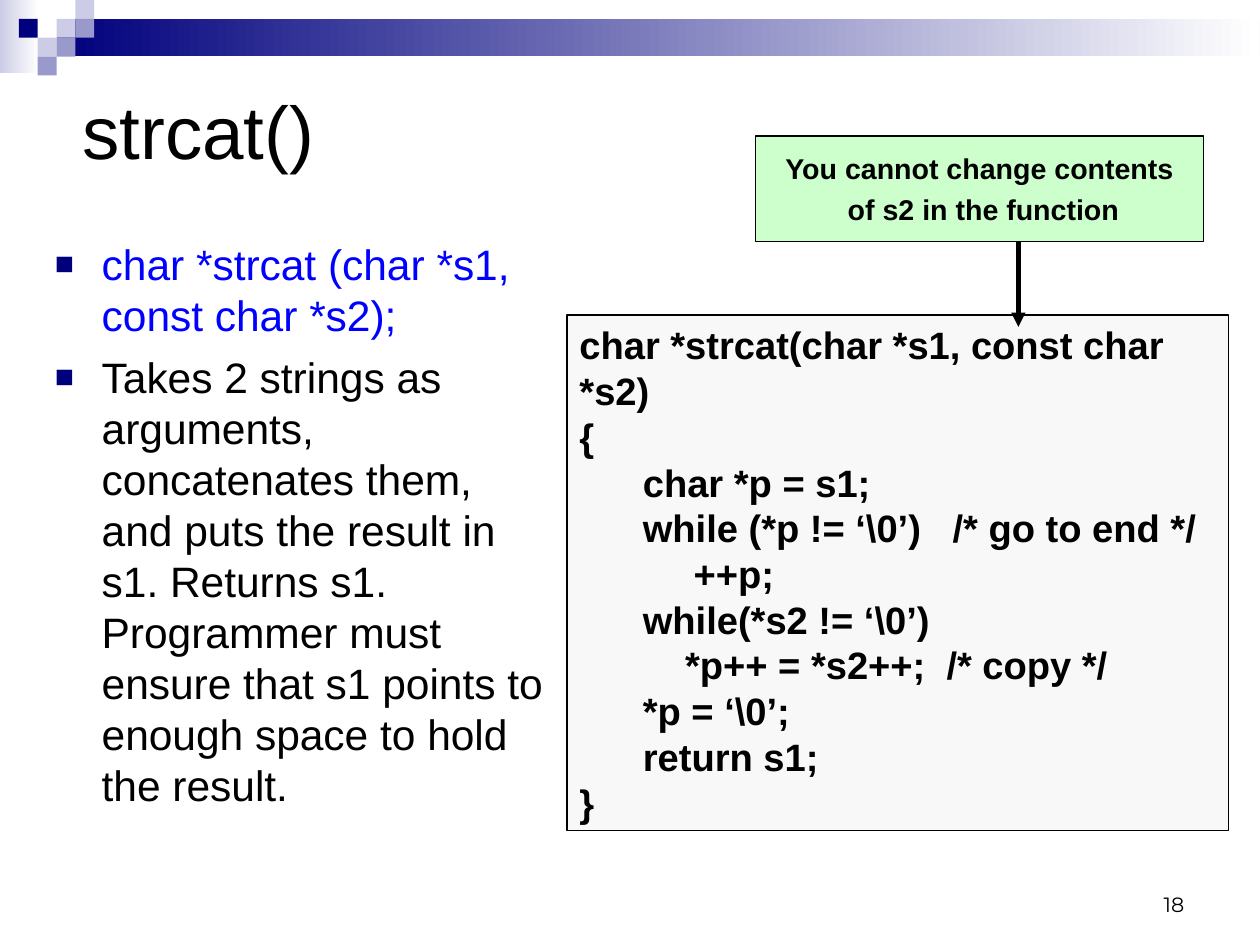
import pptx
import pptx.util
import pptx.dml.color
import pptx.enum.shapes
import pptx.enum.text
import pptx.oxml
import pptx.oxml.ns
from pptx.util import Inches

HUES = {
    "navy": "00007D", "mid": "9999CC", "pale": "CCCCE6", "white": "FFFFFF",
    "black": "000000", "blue": "0000FF", "grey": "F8F8F8", "green": "CCFFCC",
}
RECT = pptx.enum.shapes.MSO_SHAPE.RECTANGLE
ALIGN = pptx.enum.text.PP_ALIGN
ANCHOR = pptx.enum.text.MSO_ANCHOR
qn = pptx.oxml.ns.qn


def paint(target, hue):
    target.rgb = pptx.dml.color.RGBColor.from_string(HUES[hue])


def write(frame, lines, size, bold=False, align=ALIGN.LEFT,
          face="Arial", pads=(0.11, 0.06), gap=0, pitch=None):
    frame.margin_left = frame.margin_right = Inches(pads[0])
    frame.margin_top = frame.margin_bottom = Inches(pads[1])
    for i, line in enumerate(lines):
        para = frame.paragraphs[0] if i == 0 else frame.add_paragraph()
        para.text = line
        para.alignment = align
        para.space_before = pptx.util.Pt(gap if i else 0)
        if pitch:
            para.line_spacing = pptx.util.Pt(pitch)
        para.font.name = face
        para.font.size = pptx.util.Pt(size)
        para.font.bold = bold
        paint(para.font.color, "black")


deck = pptx.Presentation()
deck.slide_width = Inches(11.024)
deck.slide_height = Inches(8.268)
slide = deck.slides.add_slide(deck.slide_layouts[5])
shapes = slide.shapes

step = 0.165
bars = [(0, 0, 0.34, 0.64, "pale"), (0.5, step, 10.52, 2 * step, "navy")]
for left, top, width, height, hue in bars:
    bar = shapes.add_shape(RECT, Inches(left), Inches(top), Inches(width), Inches(height))
    bar.shadow.inherit = False
    bar.line.fill.background()
    bar.fill.gradient()
    bar.fill.gradient_angle = 0
    for stop, place, tone in zip(bar.fill.gradient_stops, (0, 1), (hue, "white")):
        stop.position = place
        paint(stop.color, tone)

tiles = [(3, 1, "pale"), (4, 0, "pale"), (4, 1, "mid"), (2, 2, "pale"),
         (1, 1, "navy"), (3, 2, "mid"), (2, 3, "mid")]
for col, row, hue in tiles:
    tile = shapes.add_shape(RECT, Inches(col * step), Inches(row * step),
                            Inches(step), Inches(step))
    tile.shadow.inherit = False
    tile.line.fill.background()
    tile.fill.solid()
    paint(tile.fill.fore_color, hue)

page = shapes.add_textbox(Inches(7.9), Inches(7.53), Inches(2.57), Inches(0.55))
page.text_frame.word_wrap = True
page.text_frame.vertical_anchor = ANCHOR.BOTTOM
write(page.text_frame, ["18"], 13, align=ALIGN.RIGHT, face="Montserrat")

title = shapes.title
title.left, title.top = Inches(0.61), Inches(0.33)
title.width, title.height = Inches(10.41), Inches(1.61)
title.text_frame.vertical_anchor = ANCHOR.MIDDLE
write(title.text_frame, ["strcat()"], 47)

body = shapes.add_textbox(Inches(0.37), Inches(2.02), Inches(4.59), Inches(5.44))
body.text_frame.word_wrap = True
points = [
    "char *strcat (char *s1, const char *s2);",
    "Takes 2 strings as arguments, concatenates them, and puts the result in s1. "
    "Returns s1. Programmer must ensure that s1 points to enough space to hold the result.",
]
write(body.text_frame, points, 26.8, gap=7.3, pitch=32.1)
paint(body.text_frame.paragraphs[0].font.color, "blue")
for para in body.text_frame.paragraphs:
    props = para._p.get_or_add_pPr()
    props.set("marL", str(Inches(0.41)))
    props.set("indent", str(-Inches(0.41)))
    marks = pptx.oxml.parse_xml(
        '<a:pPr xmlns:a="http://schemas.openxmlformats.org/drawingml/2006/main">'
        f'<a:buClr><a:srgbClr val="{HUES["navy"]}"/></a:buClr>'
        '<a:buSzPct val="75000"/><a:buFont typeface="Arial"/><a:buChar char="■"/></a:pPr>')
    last = props.find(qn("a:defRPr"))
    for mark in list(marks):
        last.addprevious(mark)

code = shapes.add_shape(RECT, Inches(4.96), Inches(2.755), Inches(5.79), Inches(4.51))
note = shapes.add_shape(RECT, Inches(6.61), Inches(1.19), Inches(3.92), Inches(0.92))
for box, hue, weight in [(code, "grey", 1), (note, "green", 0.75)]:
    box.shadow.inherit = False
    box.fill.solid()
    paint(box.fill.fore_color, hue)
    paint(box.line.color, "black")
    box.line.width = pptx.util.Pt(weight)

code.text_frame.word_wrap = True
code.text_frame.vertical_anchor = ANCHOR.TOP
lines = [
    "char *strcat(char *s1, const char *s2)",
    "{",
    "      char *p = s1;",
    "      while (*p != ‘\\0’)   /* go to end */",
    "\t++p;",
    "      while(*s2 != ‘\\0’)",
    "          *p++ = *s2++;  /* copy */",
    "      *p = ‘\\0’;",
    "      return s1;",
    "}",
]
write(code.text_frame, lines, 24, bold=True, pitch=28.8)
for para in code.text_frame.paragraphs:
    tabs = pptx.oxml.parse_xml(
        '<a:tabLst xmlns:a="http://schemas.openxmlformats.org/drawingml/2006/main">'
        f'<a:tab pos="{Inches(1)}" algn="l"/></a:tabLst>')
    para._p.pPr.find(qn("a:defRPr")).addprevious(tabs)

note.text_frame.word_wrap = False
note.text_frame.vertical_anchor = ANCHOR.MIDDLE
write(note.text_frame, ["You cannot change contents", " of s2 in the function"], 18,
      bold=True, align=ALIGN.CENTER, pads=(0, 0), gap=4.5, pitch=21.6)

arrow = shapes.add_connector(pptx.enum.shapes.MSO_CONNECTOR.STRAIGHT,
                             Inches(8.91), Inches(2.11), Inches(8.91), Inches(2.86))
paint(arrow.line.color, "black")
arrow.line.width = pptx.util.Pt(3)
edge = arrow.line._get_or_add_ln()
edge.append(edge.makeelement(qn("a:tailEnd"), {"type": "triangle"}))
props = arrow._element.spPr
props.append(props.makeelement(qn("a:effectLst"), {}))

deck.save("out.pptx")
